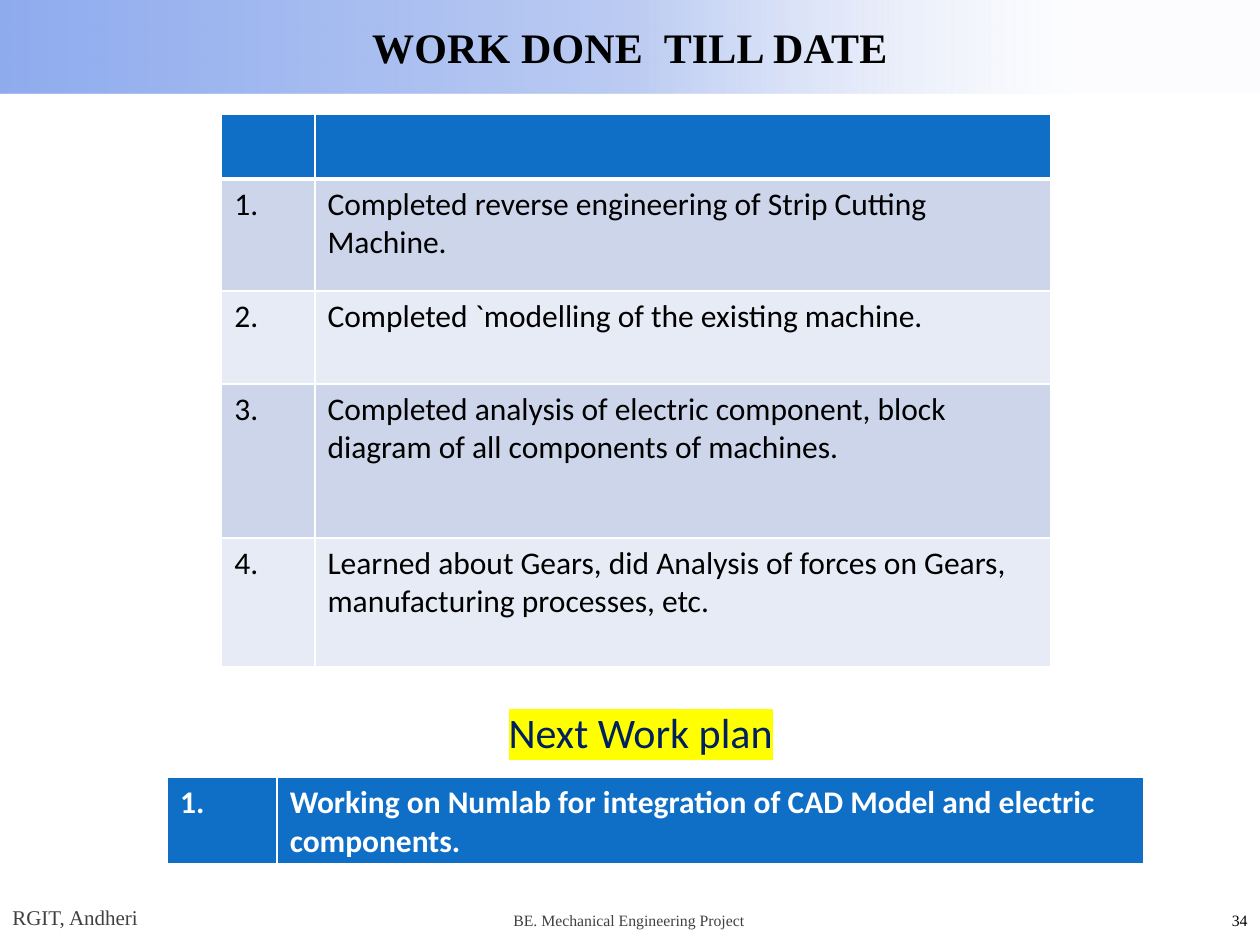
from dataclasses import dataclass
from typing import NamedTuple

from lxml.etree import SubElement
from pptx import Presentation
from pptx.dml.color import RGBColor
from pptx.enum.shapes import MSO_SHAPE as Shape
from pptx.enum.text import MSO_ANCHOR as Anchor, PP_ALIGN as Align
from pptx.oxml import parse_xml
from pptx.oxml.ns import nsdecls, qn
from pptx.util import Emu, Pt

PX = 9144  # EMU per px, 100 px to the inch
PAGE_WIDTH, PAGE_HEIGHT = 1000, 750

BLACK = RGBColor(0x00, 0x00, 0x00)
WHITE = RGBColor(0xFF, 0xFF, 0xFF)
GREY = RGBColor(0x40, 0x40, 0x40)
NAVY = RGBColor(0x00, 0x20, 0x60)
YELLOW = RGBColor(0xFF, 0xFF, 0x00)
BLUE = RGBColor(0x0F, 0x6F, 0xC6)
BAND_DARK = RGBColor(0xCC, 0xD5, 0xEA)
BAND_LIGHT = RGBColor(0xE7, 0xEB, 0xF5)
# Position %, colour, opacity %
BANNER_STOPS = [
    (0, RGBColor(0x8E, 0xAB, 0xEE), 100),
    (50, RGBColor(0xBB, 0xCB, 0xF2), 100),
    (85, RGBColor(0xDE, 0xE5, 0xF8), 7),
]
SERIF, SANS = "Times New Roman", "Calibri"


class Area(NamedTuple):
    left: int
    top: int
    width: int
    height: int

    def emu(self) -> list[Emu]:
        return [Emu(length * PX) for length in self]


@dataclass
class Label:
    text: str
    area: Area
    format: dict
    align: Align = Align.LEFT
    anchor: Anchor = Anchor.MIDDLE


@dataclass
class Row:
    height: int
    texts: tuple[str, str]
    fill: RGBColor
    format: dict
    bottom_line: int = 1


@dataclass
class Grid:
    left: int
    top: int
    columns: tuple[int, int]
    rows: list[Row]


def write(para, text: str, format: dict):
    span = para.add_run()
    span.text = text
    for name, value in format.items():
        if name == "color":
            span.font.color.rgb = value
        else:
            setattr(span.font, name, value)
    return span


def fill_label(box, label: Label):
    frame = box.text_frame
    frame.word_wrap = True
    frame.vertical_anchor = label.anchor
    para = frame.paragraphs[0]
    para.alignment = label.align
    return write(para, label.text, label.format)


def add_label(page, label: Label):
    return fill_label(page.shapes.add_textbox(*label.area.emu()), label)


def add_banner(page, label: Label) -> None:
    box = page.shapes.add_shape(Shape.RECTANGLE, *label.area.emu())
    box.shadow.inherit = False
    box.line.fill.background()
    box.fill.gradient()
    box.fill.gradient_angle = 0
    stops = box.fill._fill._gradFill.find(qn("a:gsLst"))
    for stop in list(stops):
        stops.remove(stop)
    for position, color, opacity in BANNER_STOPS:
        stop = SubElement(stops, qn("a:gs"), pos=str(position * 1000))
        rgb = SubElement(stop, qn("a:srgbClr"), val=str(color))
        if opacity < 100:
            SubElement(rgb, qn("a:alpha"), val=str(opacity * 1000))
    span = fill_label(box, label)
    span._r.get_or_add_rPr().set("spc", "10")


def highlight(span, color: RGBColor) -> None:
    mark = parse_xml(f'<a:highlight {nsdecls("a")}><a:srgbClr val="{color}"/></a:highlight>')
    span._r.rPr.find(qn("a:latin")).addprevious(mark)


def set_borders(cell, top: int, bottom: int) -> None:
    widths = {"lnL": 1, "lnR": 1, "lnT": top, "lnB": bottom}
    for index, (side, width) in enumerate(widths.items()):
        line = parse_xml(
            f'<a:{side} {nsdecls("a")} w="{Pt(width)}"><a:solidFill>'
            f'<a:srgbClr val="{WHITE}"/></a:solidFill></a:{side}>'
        )
        cell._tc.get_or_add_tcPr().insert(index, line)


def add_grid(page, grid: Grid) -> None:
    area = Area(grid.left, grid.top, sum(grid.columns), sum(row.height for row in grid.rows))
    table = page.shapes.add_table(len(grid.rows), len(grid.columns), *area.emu()).table
    for column, width in zip(table.columns, grid.columns):
        column.width = Emu(width * PX)
    top_line = 1
    for table_row, row in zip(table.rows, grid.rows):
        table_row.height = Emu(row.height * PX)
        for cell, text in zip(table_row.cells, row.texts):
            cell.fill.solid()
            cell.fill.fore_color.rgb = row.fill
            set_borders(cell, top_line, row.bottom_line)
            if text:
                write(cell.text_frame.paragraphs[0], text, row.format)
        top_line = row.bottom_line


# Text formats
TITLE = {"name": SERIF, "size": Pt(24), "bold": True, "color": BLACK}
HEADING = {"name": SANS, "size": Pt(24), "color": NAVY}
BODY = {"name": SANS, "size": Pt(18), "bold": False, "color": BLACK}
BODY_STRONG = BODY | {"bold": True, "color": WHITE}
FOOTER = {"name": SERIF, "size": Pt(9), "color": GREY}

# Content
banner = Label("WORK DONE  TILL DATE", Area(0, 0, PAGE_WIDTH, 74), TITLE, Align.CENTER)
next_heading = Label("Next Work plan", Area(135, 556, 747, 81), HEADING, Align.CENTER, Anchor.TOP)
footers = [
    Label("BE. Mechanical Engineering Project", Area(270, 710, 458, 40), FOOTER, Align.CENTER),
    Label("34", Area(933, 710, 67, 40), FOOTER | {"color": BLACK}, Align.RIGHT),
    Label("RGIT, Andheri", Area(0, 708, 183, 40), FOOTER | {"size": Pt(12)}),
]
work_done = [
    (89, "Completed reverse engineering of Strip Cutting Machine."),
    (74, "Completed `modelling of the existing machine."),
    (122, "Completed analysis of electric component, block diagram of all components of machines."),
    (102, "Learned about Gears, did Analysis of forces on Gears, manufacturing processes, etc."),
]
done_rows = [Row(51, ("", ""), BLUE, BODY_STRONG, bottom_line=3)] + [
    Row(height, (f"{number}.", text), BAND_DARK if number % 2 else BAND_LIGHT, BODY)
    for number, (height, text) in enumerate(work_done, start=1)
]
next_text = "Working on Numlab for integration of CAD Model and electric components."
next_rows = [Row(70, ("1.", next_text), BLUE, BODY_STRONG, bottom_line=3)]


def main() -> None:
    deck = Presentation()
    deck.slide_width, deck.slide_height = Emu(PAGE_WIDTH * PX), Emu(PAGE_HEIGHT * PX)
    page = deck.slides.add_slide(deck.slide_layouts[6])

    # Title band and footers
    add_banner(page, banner)
    for footer in footers:
        add_label(page, footer)

    # Heading and both tables
    highlight(add_label(page, next_heading), YELLOW)
    add_grid(page, Grid(176, 91, (74, 584), done_rows))
    add_grid(page, Grid(133, 617, (87, 688), next_rows))

    deck.save("out.pptx")


if __name__ == "__main__":
    main()
